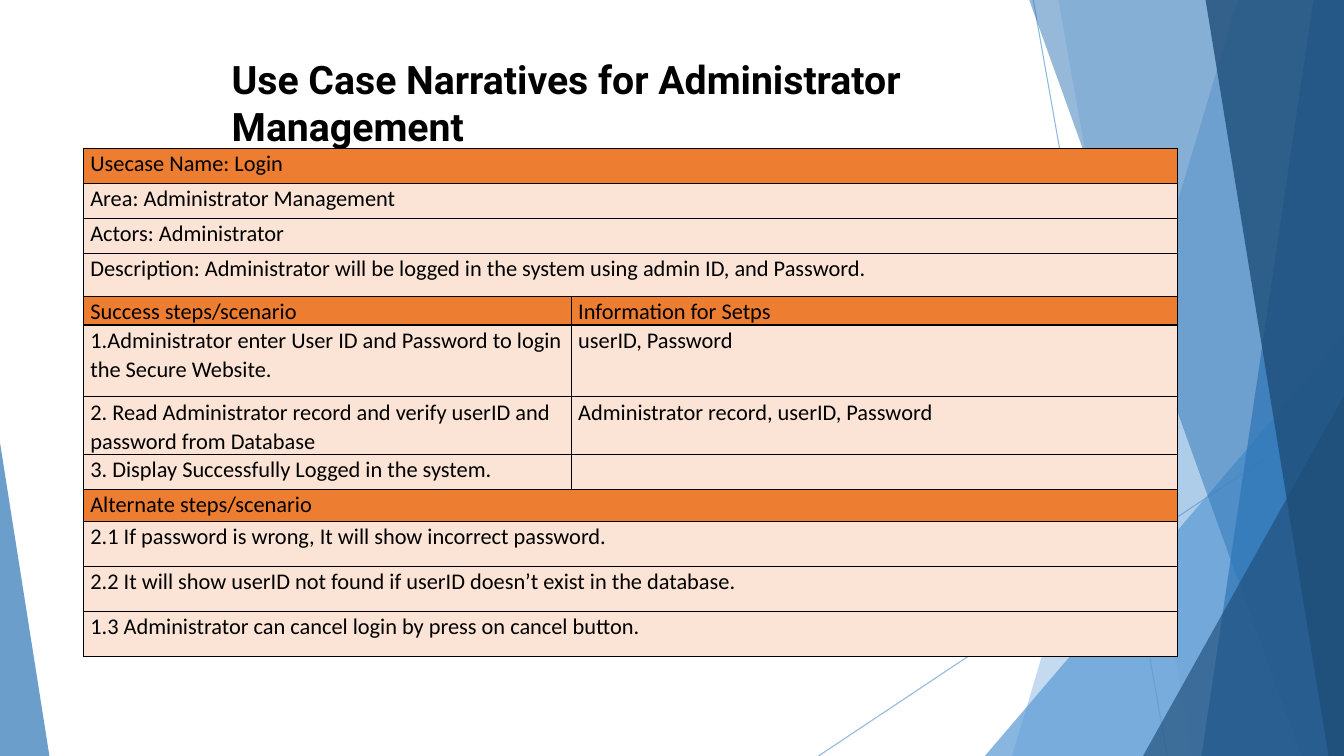
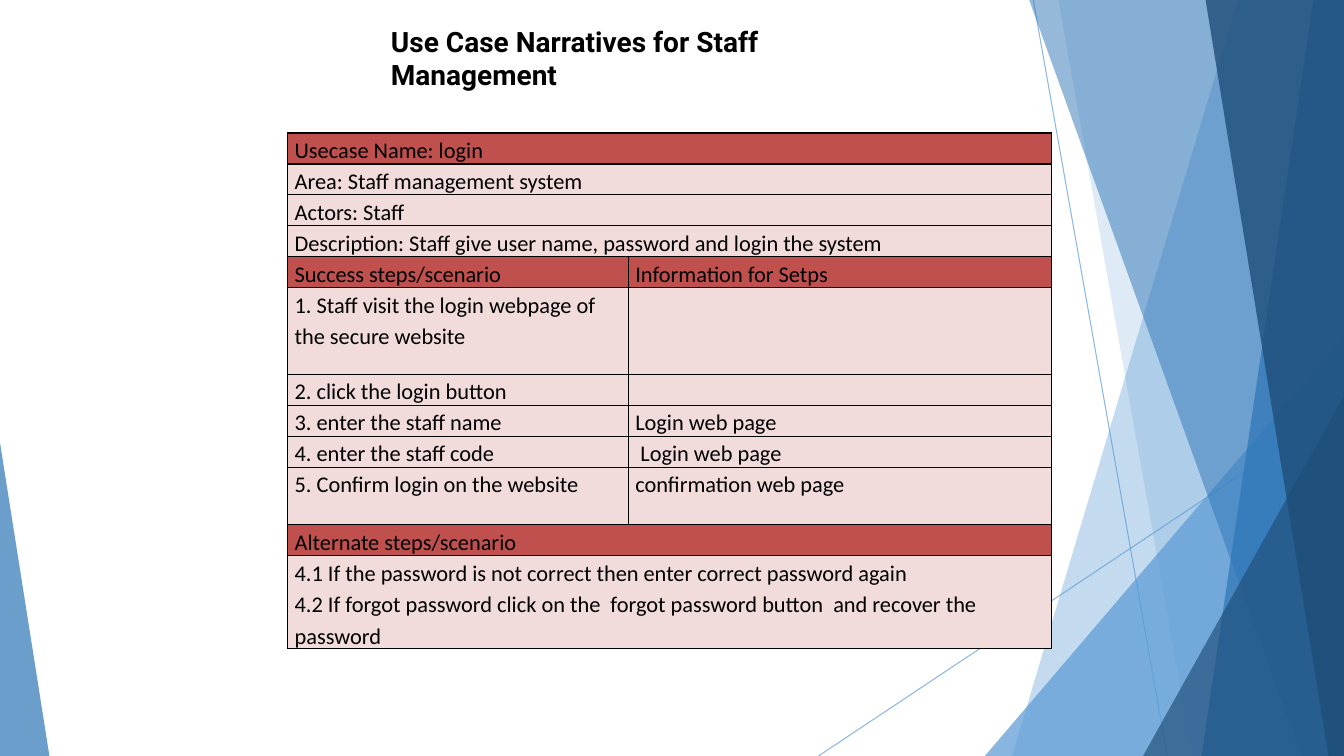
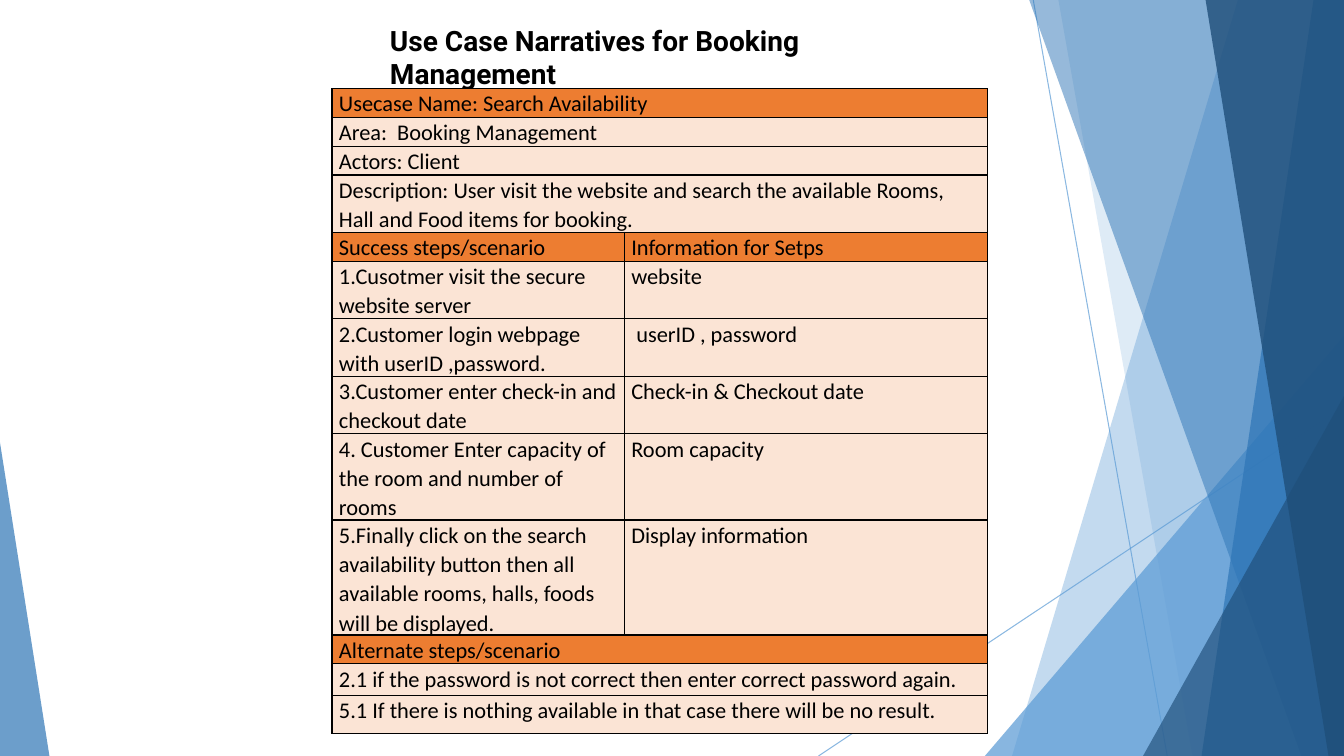
from lxml import etree
from pptx import Presentation
from pptx.dml.color import RGBColor
from pptx.enum.shapes import MSO_CONNECTOR, MSO_SHAPE
from pptx.oxml.ns import qn
from pptx.util import Inches, Pt

STRAIGHT = MSO_CONNECTOR.STRAIGHT
TRIANGLE = MSO_SHAPE.ISOSCELES_TRIANGLE

COLOURS = {
    "black": "000000",
    "sky": "5B9BD5",
    "blue": "2E75B6",
    "navy": "1F4E79",
    "orange": "ED7D31",
    "peach": "FBE4D5",
    "red": "C0504D",
    "rose": "F2DBDB",
}
CELL_FORMAT = {
    "margin_left": Inches(0.07),
    "margin_right": Inches(0.07),
    "margin_top": 0,
    "margin_bottom": 0,
}
PLAIN_TABLE = {"first_row": False, "horz_banding": False}
HEADINGS = ("Usecase Name", "Success steps", "Alternate steps")
STEP_HEADINGS = ("Success steps/scenario", "Information for Setps")
ALTERNATE_HEADING = "Alternate steps/scenario"

# Background, back to front; all lengths are percent of the slide's size
RAYS = [(76.88, 0, 86.85, 100), (100, 53.73, 60.9, 100)]
FACETS = [
    # band: top left x, bottom left x; triangle: left, top, width, apex
    ("band", (92.1, 75.3), "sky", 36),
    ("band", (78.75, 88.73), "sky", 20),
    ("triangle", (73.28, 44.4, 26.72, 1), "sky", 72),
    ("band", (76.58, 96.83), "blue", 50),
    ("band", (97.73, 89.4), "blue", 70),
    ("band", (89.7, 98.85), "navy", 80),
    ("triangle", (85.05, 52.4, 14.95, 1), "navy", 66),
    ("triangle", (0, 58.53, 3.68, 0), "blue", 70),
]

# Each row: height, then one text for a full-width row or two for a split row
NARRATIVES = [
    {
        "title": ("Use Case Narratives for Administrator Management", 16.5, 6.67, 64.65, 28),
        "place": (6.2, 19.6),
        "columns": (36.3, 45.1),
        "fills": ("orange", "peach"),
        "spacing": 1.07,
        "rows": [
            (4.65, "Usecase Name: Login"),
            (4.65, "Area: Administrator Management"),
            (4.65, "Actors: Administrator"),
            (5.65, "Description: Administrator will be logged in the system using admin ID, and Password."),
            (3.75, *STEP_HEADINGS),
            (9.5, "1.Administrator enter User ID and Password to login the Secure Website.",
             "userID, Password"),
            (7.6, "2. Read Administrator record and verify userID and password from Database",
             "Administrator record, userID, Password"),
            (4.65, "3. Display Successfully Logged in the system.", ""),
            (4.25, ALTERNATE_HEADING),
            (5.95, "2.1 If password is wrong, It will show incorrect password."),
            (5.95, "2.2 It will show userID not found if userID doesn’t exist in the database."),
            (5.95, "1.3 Administrator can cancel login by press on cancel button."),
        ],
    },
    {
        "title": ("Use Case Narratives for Staff Management", 28.35, 2.53, 38.55, 20),
        "place": (21.4, 17.6),
        "columns": (25.35, 31.5),
        "fills": ("red", "rose"),
        "spacing": 1.15,
        "rows": [
            (4, "Usecase Name: login"),
            (4, "Area: Staff management system"),
            (4, "Actors: Staff"),
            (4, "Description: Staff give user name, password and login the system"),
            (4, *STEP_HEADINGS),
            (11.5, "1. Staff visit the login webpage of the secure website", ""),
            (4, "2. click the login button", ""),
            (4, "3. enter the staff name", "Login web page"),
            (4, "4. enter the staff code", " Login web page"),
            (7.6, "5. Confirm login on the website", "confirmation web page"),
            (4, ALTERNATE_HEADING),
            (12, "4.1 If the password is not correct then enter correct password again\n"
             "4.2 If forgot password click on the  forgot password button  and recover the password"),
        ],
    },
    {
        "title": ("Use Case Narratives for Booking Management", 28.28, 2.4, 41.55, 20),
        "place": (24.7, 11.73),
        "columns": (21.75, 27),
        "fills": ("orange", "peach"),
        "spacing": 1.07,
        "rows": [
            (3.8, "Usecase Name: Search Availability"),
            (3.8, "Area:  Booking Management"),
            (3.8, "Actors: Client"),
            (7.6, "Description: User visit the website and search the available Rooms, "
             "Hall and Food items for booking."),
            (3.8, *STEP_HEADINGS),
            (7.6, "1.Cusotmer visit the secure website server", "website"),
            (7.6, "2.Customer login webpage with userID ,password.", " userID , password"),
            (7.6, "3.Customer enter check-in and checkout date", "Check-in & Checkout date"),
            (11.4, "4. Customer Enter capacity of the room and number of rooms", "Room capacity"),
            (15.2, "5.Finally click on the search availability button then all available rooms, "
             "halls, foods will be displayed.", "Display information"),
            (3.8, ALTERNATE_HEADING),
            (4.15, "2.1 if the password is not correct then enter correct password again."),
            (5.05, "5.1 If there is nothing available in that case there will be no result."),
        ],
    },
]


def apply_format(target, values):
    for name, value in values.items():
        setattr(target, name, value)


def colour(name):
    return RGBColor.from_string(COLOURS[name])


def set_opacity(shape, percent):
    for element in shape._element.iter(qn("a:srgbClr")):
        etree.SubElement(element, qn("a:alpha"), val=str(percent * 1000))


class Deck:
    """Holds the presentation, its style and the current slide."""

    def __init__(self):
        self.presentation = Presentation()
        apply_format(self.presentation, {"slide_width": Inches(13.33), "slide_height": Inches(7.5)})
        self.slide = None

    def x(self, share):
        return round(self.presentation.slide_width * share / 100)

    def y(self, share):
        return round(self.presentation.slide_height * share / 100)

    def new_slide(self):
        self.slide = self.presentation.slides.add_slide(self.presentation.slide_layouts[6])
        for ray in RAYS:
            self.ray(*ray)
        for kind, geometry, fill, opacity in FACETS:
            draw = self.band if kind == "band" else self.triangle
            shape = draw(*geometry)
            shape.shadow.inherit = False
            shape.fill.solid()
            shape.fill.fore_color.rgb = colour(fill)
            shape.line.fill.background()
            set_opacity(shape, opacity)

    def ray(self, start_x, start_y, end_x, end_y):
        line = self.slide.shapes.add_connector(
            STRAIGHT, self.x(start_x), self.y(start_y), self.x(end_x), self.y(end_y))
        line.line.width = Pt(0.75)
        line.line.color.rgb = colour("sky")
        set_opacity(line, 70)
        etree.SubElement(line._element.spPr, qn("a:effectLst"))

    def band(self, top_x, bottom_x):
        builder = self.slide.shapes.build_freeform(self.x(top_x), 0)
        corners = [(100, 0), (100, 100), (bottom_x, 100)]
        builder.add_line_segments([(self.x(x), self.y(y)) for x, y in corners], close=True)
        return builder.convert_to_shape()

    def triangle(self, left, top, width, apex):
        shape = self.slide.shapes.add_shape(
            TRIANGLE, self.x(left), self.y(top), self.x(width), self.y(100 - top))
        shape.adjustments[0] = apex
        return shape

    def text_run(self, paragraph, text, font, size, bold=False):
        run = paragraph.add_run()
        run.text = text
        apply_format(run.font, {"name": font, "size": Pt(size), "bold": bold})
        run.font.color.rgb = colour("black")

    def title(self, text, left, top, width, size):
        box = self.slide.shapes.add_textbox(self.x(left), self.y(top), self.x(width), self.y(7))
        box.text_frame.word_wrap = True
        self.text_run(box.text_frame.paragraphs[0], text, "Roboto", size, True)

    def table(self, place, columns, fills, spacing, rows):
        table = self.slide.shapes.add_table(
            len(rows), len(columns), self.x(place[0]), self.y(place[1]),
            self.x(sum(columns)), self.y(sum(row[0] for row in rows))).table
        apply_format(table, PLAIN_TABLE)
        for column, width in zip(table.columns, columns):
            column.width = self.x(width)
        for index, (height, *texts) in enumerate(rows):
            table.rows[index].height = self.y(height)
            fill = fills[0] if texts[0].startswith(HEADINGS) else fills[1]
            cells = [table.cell(index, number) for number in range(len(columns))]
            for cell in cells:
                self.style_cell(cell, fill)
            if len(texts) == 1:
                cells[0].merge(cells[-1])
            for cell, text in zip(cells, texts):
                self.fill_cell(cell, text, spacing)

    def style_cell(self, cell, fill):
        apply_format(cell, CELL_FORMAT)
        cell.fill.solid()
        cell.fill.fore_color.rgb = colour(fill)
        # Borders come before the fill in the cell properties
        properties = cell._tc.get_or_add_tcPr()
        for position, side in enumerate(("a:lnL", "a:lnR", "a:lnT", "a:lnB")):
            border = etree.Element(qn(side), w=str(Pt(1)))
            solid = etree.SubElement(border, qn("a:solidFill"))
            etree.SubElement(solid, qn("a:srgbClr"), val=COLOURS["black"])
            properties.insert(position, border)

    def fill_cell(self, cell, text, spacing):
        if not text:
            return
        frame = cell.text_frame
        for number, line in enumerate(text.split("\n")):
            paragraph = frame.add_paragraph() if number else frame.paragraphs[0]
            paragraph.line_spacing = spacing
            self.text_run(paragraph, line, "Calibri", 16)


def main():
    deck = Deck()
    for narrative in NARRATIVES:
        deck.new_slide()
        deck.title(*narrative["title"])
        deck.table(*(narrative[key] for key in ("place", "columns", "fills", "spacing", "rows")))
    deck.presentation.save("out.pptx")


if __name__ == "__main__":
    main()
